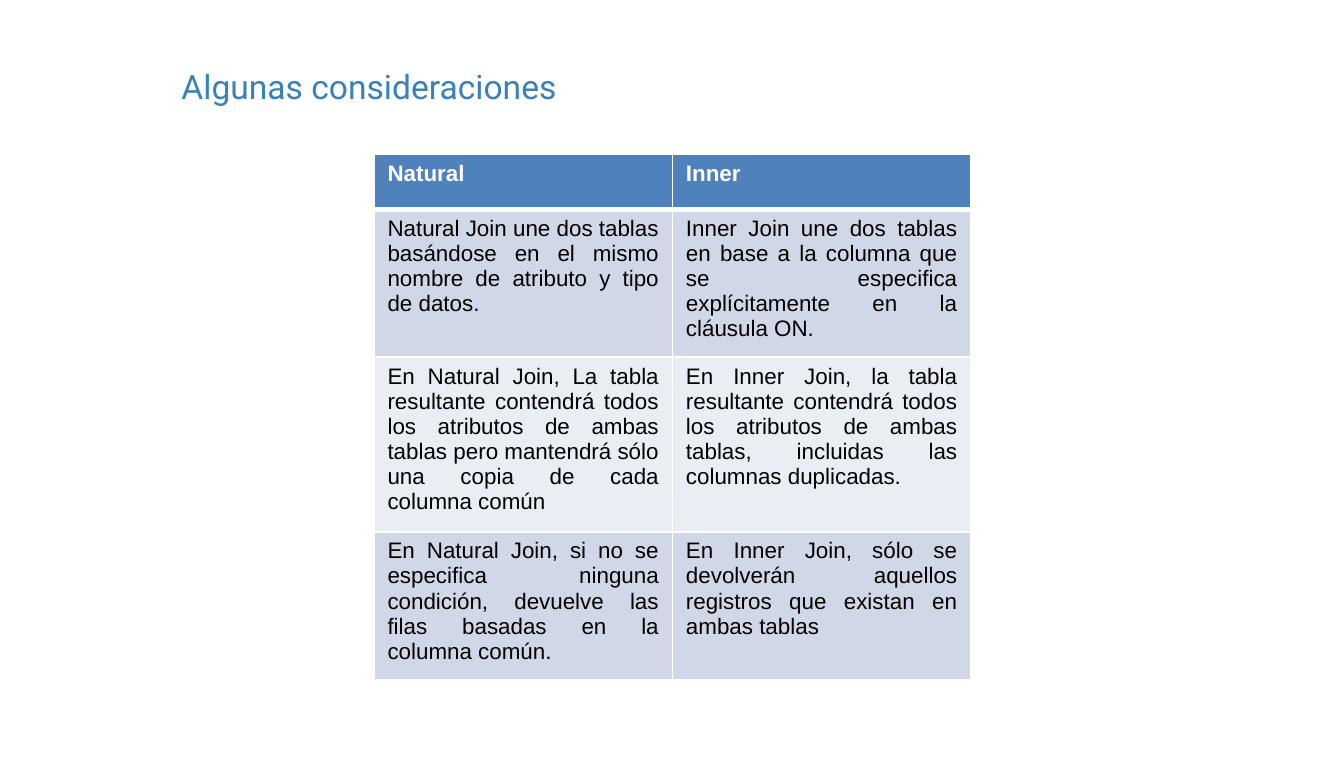
"""Build a slide comparing natural and inner joins in a table."""
import pptx
import pptx.dml.color
import pptx.enum.text
import pptx.oxml.ns
import pptx.util
from lxml import etree
from pptx.util import Cm, Pt


def color(value):
    return pptx.dml.color.RGBColor.from_string(value)


def add_border(cell, side, points):
    line = etree.SubElement(cell._tc.get_or_add_tcPr(), pptx.oxml.ns.qn("a:" + side), w=str(Pt(points)))
    fill = etree.SubElement(line, pptx.oxml.ns.qn("a:solidFill"))
    etree.SubElement(fill, pptx.oxml.ns.qn("a:srgbClr"), val="FFFFFF")


deck = pptx.Presentation()
deck.slide_width, deck.slide_height = Pt(720), Pt(405.5)
page = deck.slides.add_slide(deck.slide_layouts[5])

title = page.shapes.title
title.left, title.top, title.width, title.height = Cm(3.4), Cm(1.22), Cm(7.14), Cm(0.84)
frame = title.text_frame
frame.text = "Algunas consideraciones"
frame.word_wrap = True
frame.auto_size = pptx.enum.text.MSO_AUTO_SIZE.NONE
frame.vertical_anchor = pptx.enum.text.MSO_ANCHOR.TOP
frame.margin_right = frame.margin_bottom = 0
frame.margin_left = frame.margin_top = Cm(0.03)
para = frame.paragraphs[0]
para.alignment = pptx.enum.text.PP_ALIGN.LEFT
para.space_before = Pt(1)
span = para.runs[0]
span.font.name, span.font.size = "Roboto", Pt(18)
span.font.color.rgb = color("3981B9")

comparisons = [
    ("Natural", "Inner"),
    ("Natural Join une dos tablas basándose en el mismo nombre de atributo y tipo de datos.",
     "Inner Join une dos tablas en base a la columna que se especifica explícitamente en la cláusula ON."),
    ("En Natural Join, La tabla resultante contendrá todos los atributos de ambas tablas "
     "pero mantendrá sólo una copia de cada columna común",
     "En Inner Join, la tabla resultante contendrá todos los atributos de ambas tablas, "
     "incluidas las columnas duplicadas."),
    ("En Natural Join, si no se especifica ninguna condición, devuelve las filas basadas en la columna común.",
     "En Inner Join, sólo se devolverán aquellos registros que existan en ambas tablas"),
]
row_heights = [1.03, 2.8, 3.3, 2.8]
row_fills = ["4F81BD", "D0D8E8", "E9EDF4", "D0D8E8"]

table = page.shapes.add_table(
    len(comparisons), 2, Cm(7.07), Cm(2.92), Cm(11.28), Cm(sum(row_heights))).table
for row_index, texts in enumerate(comparisons):
    header = row_index == 0
    table.rows[row_index].height = Cm(row_heights[row_index])
    for column_index, text in enumerate(texts):
        cell = table.cell(row_index, column_index)
        for side in ("lnL", "lnR", "lnT", "lnB"):
            thick = (row_index, side) in ((0, "lnB"), (1, "lnT"))
            add_border(cell, side, 3 if thick else 1)
        cell.fill.solid()
        cell.fill.fore_color.rgb = color(row_fills[row_index])
        cell.text_frame.text = text
        para = cell.text_frame.paragraphs[0]
        para.alignment = pptx.enum.text.PP_ALIGN.JUSTIFY
        span = para.runs[0]
        span.font.name, span.font.size, span.font.bold = "Arial", Pt(12), header
        span.font.color.rgb = color("FFFFFF" if header else "000000")

deck.save("out.pptx")
